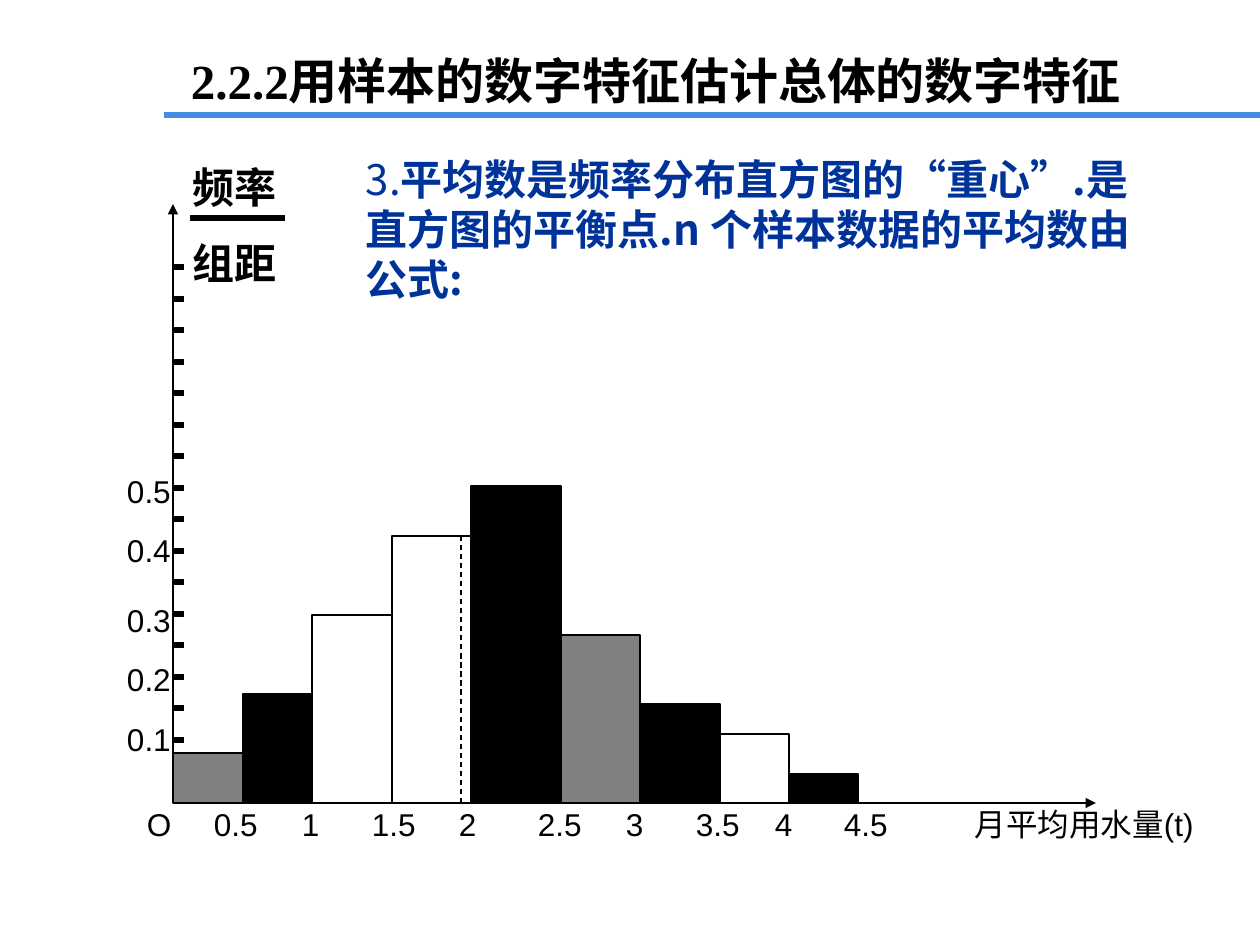
import pptx
import pptx.dml.color
import pptx.enum.dml
import pptx.enum.shapes
import pptx.oxml.ns
import pptx.util
from lxml import etree

SCALE = 914400 / 126
COLORS = {"black": "000000", "gray": "808080", "white": "FFFFFF",
          "rule": "438DE0", "body": "003399"}
CJK = "Noto Sans CJK SC"


def px(length):
    return pptx.util.Emu(round(length * SCALE))


def add_element(parent, tag, **attributes):
    return etree.SubElement(parent, pptx.oxml.ns.qn(tag), attributes)


def rgb(color):
    return pptx.dml.color.RGBColor.from_string(COLORS[color])


class SlideBuilder:
    def __init__(self, slide):
        self.slide = slide

    def text(self, left, top, width, height, paragraphs, size, font="Arial",
             color="black", bold=None, before=0, indent=13, tabs=()):
        shape = self.slide.shapes.add_textbox(px(left), px(top), px(width), px(height))
        frame = shape.text_frame
        frame.word_wrap = True
        frame.margin_left = px(indent)
        for index, runs in enumerate(paragraphs):
            paragraph = frame.paragraphs[0] if index == 0 else frame.add_paragraph()
            if index:
                paragraph.space_before = pptx.util.Pt(before)
            properties = paragraph._p.get_or_add_pPr()
            if tabs:
                tab_list = add_element(properties, "a:tabLst")
                for tab in tabs:
                    add_element(tab_list, "a:tab", pos=str(px(tab - left - indent)), algn="l")
            paragraph.font.size = pptx.util.Pt(size)
            paragraph.font.bold = bold
            paragraph.font.color.rgb = rgb(color)
            paragraph.font.name = font
            add_element(properties.find(pptx.oxml.ns.qn("a:defRPr")), "a:ea", typeface=CJK)
            for content, run_bold, run_font in runs:
                run = paragraph.add_run()
                run.text = content
                if run_bold is not None:
                    run.font.bold = run_bold
                if run_font:
                    run.font.name = run_font

    def label(self, left, top, width, height, *lines, **style):
        self.text(left, top, width, height, [[(line, None, None)] for line in lines], **style)

    def line(self, start, end, width=0.75, color="black", arrow=False, dashed=False):
        connector = self.slide.shapes.add_connector(
            pptx.enum.shapes.MSO_CONNECTOR.STRAIGHT, *map(px, start + end))
        connector.line.width = pptx.util.Pt(width)
        connector.line.color.rgb = rgb(color)
        if dashed:
            connector.line.dash_style = pptx.enum.dml.MSO_LINE.DASH
        if arrow:
            add_element(connector.line._get_or_add_ln(), "a:tailEnd", type="triangle")
        add_element(connector._element.spPr, "a:effectLst")

    def bar(self, left, top, right, bottom, color):
        shape = self.slide.shapes.add_shape(
            pptx.enum.shapes.MSO_SHAPE.RECTANGLE,
            px(left), px(top), px(right - left), px(bottom - top))
        shape.shadow.inherit = False
        shape.fill.solid()
        shape.fill.fore_color.rgb = rgb(color)
        shape.line.color.rgb = rgb("black")
        shape.line.width = pptx.util.Pt(0.75)


def main():
    presentation = pptx.Presentation()
    presentation.slide_width, presentation.slide_height = px(1260), px(945)
    builder = SlideBuilder(presentation.slides.add_slide(presentation.slide_layouts[6]))

    builder.label(154, 44, 1022, 72, "2.2.2用样本的数字特征估计总体的数字特征",
                  size=28, font="Times New Roman", bold=True, indent=37)
    builder.line((164, 115), (1260, 115), width=3, color="rule")
    builder.text(353, 147, 804, 164, [[
        ("3.", None, None),
        ("平均数是频率分布直方图的", True, None),
        ("“", True, "Arial"),
        ("重心", True, None),
        ("”", True, "Arial"),
        (".是直方图的平衡点.n 个样本数据的平均数由公式:", True, None),
    ]], size=24, font=CJK, color="body")

    axis, baseline = 173, 803
    builder.line((axis, baseline), (1096, baseline), arrow=True)
    builder.line((axis, baseline), (axis, 204), arrow=True)
    for step in range(17):
        tick = 771 - step * 63 // 2
        builder.line((axis, tick), (axis + 11, tick), width=3)

    builder.label(180, 155, 136, 140, "频率", "组距",
                  size=24, font="Times New Roman", bold=True, before=15)
    builder.line((190, 218), (285, 218), width=3)

    edges = [173, 243, 312, 392, 471, 561, 640, 720, 789, 858]
    tops = [753, 694, 615, 536, 486, 635, 704, 734, 774]
    fills = ["gray", "black", "white", "white", "black", "gray", "black", "white", "black"]
    for left, right, top, fill in zip(edges, edges[1:], tops, fills):
        builder.bar(left, top, right, baseline, fill)
    builder.line((461, baseline), (461, 536), dashed=True)

    for value, top in zip(("0.1", "0.2", "0.3", "0.4", "0.5"), (714, 654, 595, 525, 466)):
        builder.label(114, top, 80, 50, value, size=18)
    axis_labels = ["O", "0.5", "1", "1.5", "2", "2.5", "3", "3.5", "4", "4.5", "月平均用水量(t)"]
    builder.label(134, 799, 1096, 50, "\t".join(axis_labels), size=18,
                  tabs=[214, 302, 372, 459, 538, 626, 696, 775, 844, 975])

    presentation.save("out.pptx")


if __name__ == "__main__":
    main()
